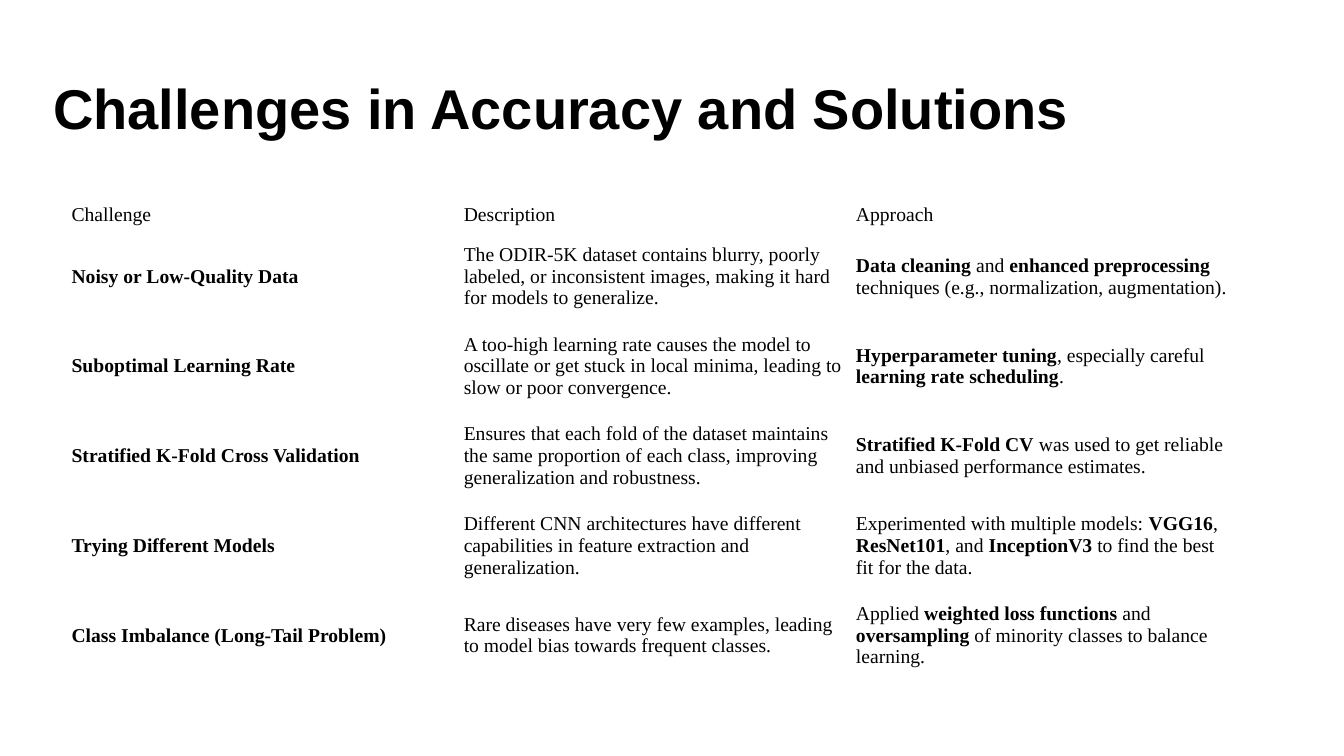
from dataclasses import dataclass

from pptx import Presentation
from pptx import util as u
from pptx.dml.color import RGBColor
from pptx.enum import text


@dataclass(frozen=True)
class Theme:
    """Colours, fonts and type sizes of the slide."""
    ink: RGBColor = RGBColor(0, 0, 0)
    paper: RGBColor = RGBColor(255, 255, 255)
    title_font: str = "Arial"
    title_size: int = 40
    body_font: str = "Times New Roman"
    body_size: int = 14


CHALLENGES = [
    ("Challenge", "Description", "Approach"),
    ("**Noisy or Low-Quality Data**",
     "The ODIR-5K dataset contains blurry, poorly labeled, or inconsistent images, "
     "making it hard for models to generalize.",
     "**Data cleaning** and **enhanced preprocessing** techniques "
     "(e.g., normalization, augmentation)."),
    ("**Suboptimal Learning Rate**",
     "A too-high learning rate causes the model to oscillate or get stuck in local "
     "minima, leading to slow or poor convergence.",
     "**Hyperparameter tuning**, especially careful **learning rate scheduling**."),
    ("**Stratified K-Fold Cross Validation**",
     "Ensures that each fold of the dataset maintains the same proportion of each "
     "class, improving generalization and robustness.",
     "**Stratified K-Fold CV** was used to get reliable and unbiased performance "
     "estimates."),
    ("**Trying Different Models**",
     "Different CNN architectures have different capabilities in feature extraction "
     "and generalization.",
     "Experimented with multiple models: **VGG16**, **ResNet101**, and "
     "**InceptionV3** to find the best fit for the data."),
    ("**Class Imbalance (Long-Tail Problem)**",
     "Rare diseases have very few examples, leading to model bias towards frequent "
     "classes.",
     "Applied **weighted loss functions** and **oversampling** of minority classes "
     "to balance learning."),
]


def assign(target, formats):
    """Set each attribute named in formats on target."""
    for name, value in formats.items():
        setattr(target, name, value)


class SlideBuilder:
    """Holds the theme and the current slide."""

    def __init__(self, slide, theme):
        """Keep the slide and theme, and paint the background."""
        self.slide, self.theme = slide, theme
        fill = slide.background.fill
        fill.solid()
        fill.fore_color.rgb = theme.paper

    def add_words(self, paragraph, marked, font, size):
        """Add marked text, with bold between double asterisks."""
        for index, part in enumerate(marked.split("**")):
            if part:
                run = paragraph.add_run()
                run.text = part
                assign(run.font, {"name": font, "size": u.Pt(size), "bold": index % 2 == 1})
                run.font.color.rgb = self.theme.ink

    def add_title(self, heading, left, top, width, height):
        """Add the slide heading on one line."""
        box = self.slide.shapes.add_textbox(
            u.Inches(left), u.Inches(top), u.Inches(width), u.Inches(height))
        assign(box.text_frame, {"word_wrap": False,
                                "auto_size": text.MSO_AUTO_SIZE.SHAPE_TO_FIT_TEXT})
        self.add_words(box.text_frame.paragraphs[0], f"**{heading}**",
                       self.theme.title_font, self.theme.title_size)

    def add_grid(self, rows, left, top, column_width, row_heights):
        """Add an unfilled table with equal columns."""
        columns = len(rows[0])
        frame = self.slide.shapes.add_table(
            len(rows), columns, u.Inches(left), u.Inches(top),
            u.Inches(column_width * columns), u.Inches(sum(row_heights)))
        grid = frame.table
        assign(grid, {"first_row": False, "horz_banding": False})
        for column in grid.columns:
            column.width = u.Inches(column_width)
        cell_format = {"vertical_anchor": text.MSO_ANCHOR.MIDDLE,
                       "margin_left": u.Inches(0.06), "margin_right": u.Inches(0.06),
                       "margin_top": u.Inches(0.03), "margin_bottom": u.Inches(0.03)}
        for row, height, entries in zip(grid.rows, row_heights, rows):
            row.height = u.Inches(height)
            for cell, entry in zip(row.cells, entries):
                assign(cell, cell_format)
                cell.fill.background()
                self.add_words(cell.text_frame.paragraphs[0], entry,
                               self.theme.body_font, self.theme.body_size)


def main():
    """Build and save the slide."""
    deck = Presentation()
    assign(deck, {"slide_width": u.Inches(13.33), "slide_height": u.Inches(7.5)})
    builder = SlideBuilder(deck.slides.add_slide(deck.slide_layouts[6]), Theme())
    body_heights = [0.89] * (len(CHALLENGES) - 1)
    builder.add_grid(CHALLENGES, 0.65, 1.96, 3.89, [0.34] + body_heights)
    builder.add_title("Challenges in Accuracy and Solutions", 0.43, 0.68, 10.37, 0.77)
    deck.save("out.pptx")


if __name__ == "__main__":
    main()
